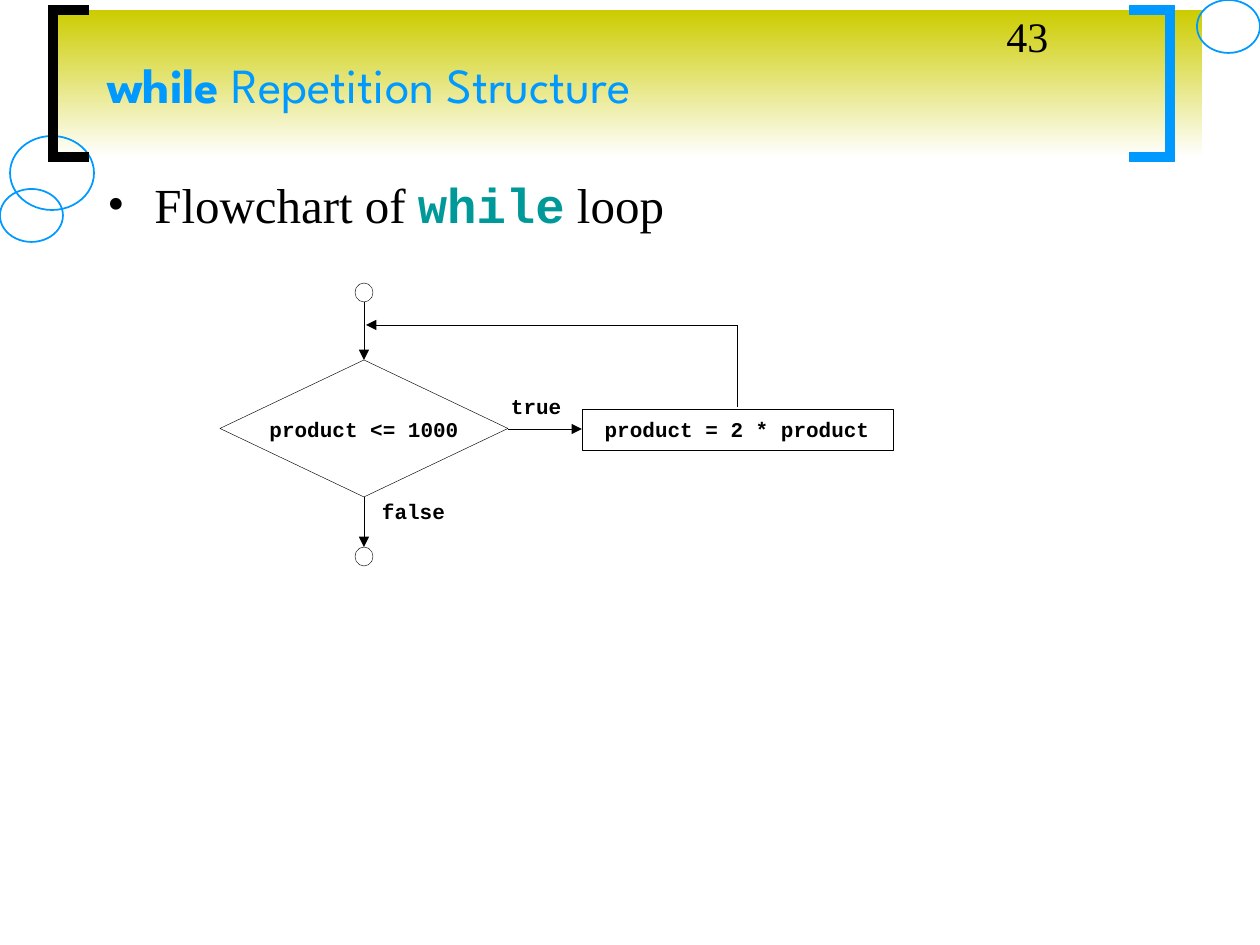
import pptx
import pptx.util
import pptx.dml.color
import pptx.enum.shapes
import pptx.enum.text
import pptx.oxml
import pptx.oxml.ns

PX = 914400 / 126
HEX = {"blue": "0099FF", "lime": "CCCC00", "teal": "009999",
       "black": "000000", "white": "FFFFFF"}
KIND = pptx.enum.shapes.MSO_SHAPE
ALIGN = pptx.enum.text.PP_ALIGN
ANCHOR = pptx.enum.text.MSO_ANCHOR
THIN = 0.25
CODE = ("Courier New", 12, "black", True)


def emu(*nums):
    return [round(n * PX) for n in nums]


def rgb(name):
    return pptx.dml.color.RGBColor.from_string(HEX[name])


def node(tag, **attrs):
    part = pptx.oxml.parse_xml(f"<{tag} {pptx.oxml.ns.nsdecls('a')}/>")
    for key, val in attrs.items():
        part.set(key, val)
    return part


def ink(shape, color, width):
    shape.line.color.rgb = rgb(color)
    shape.line.width = pptx.util.Pt(width)


def add_form(slide, kind, box, color, width, fill=None):
    shape = slide.shapes.add_shape(kind, *emu(*box))
    shape.shadow.inherit = False
    ink(shape, color, width)
    if fill:
        shape.fill.solid()
        shape.fill.fore_color.rgb = rgb(fill)
    else:
        shape.fill.background()


def add_line(slide, start, end, arrow=True):
    line = slide.shapes.add_connector(
        pptx.enum.shapes.MSO_CONNECTOR.STRAIGHT, *emu(*start, *end))
    ink(line, "black", THIN)
    if arrow:
        line.line._get_or_add_ln().append(node("a:tailEnd", type="triangle"))
    line._element.spPr.append(node("a:effectLst"))


def add_text(slide, box, parts, inset=(0, 0), anchor=ANCHOR.TOP, align=ALIGN.LEFT):
    """Each part is (text, (font, size, color, bold)); returns the paragraph."""
    frame = slide.shapes.add_textbox(*emu(*box)).text_frame
    frame.word_wrap = True
    frame.vertical_anchor = anchor
    frame.margin_left = frame.margin_right = pptx.util.Inches(inset[0])
    frame.margin_top = frame.margin_bottom = pptx.util.Inches(inset[1])
    para = frame.paragraphs[0]
    para.alignment = align
    for text, (face, size, color, bold) in parts:
        run = para.add_run()
        run.text = text
        run.font.name = face
        run.font.size = pptx.util.Pt(size)
        run.font.bold = bold
        run.font.color.rgb = rgb(color)
    return para


def add_brace(slide, x, edge, top, low, color):
    """Square bracket with its upright at edge and its open ends at x."""
    pen = slide.shapes.build_freeform(x, top, scale=PX)
    pen.add_line_segments([(edge, top), (edge, low), (x, low)], close=False)
    shape = pen.convert_to_shape()
    shape.shadow.inherit = False
    shape.fill.background()
    ink(shape, color, 6)
    line = shape.line._get_or_add_ln()
    line.set("cap", "sq")
    line.append(node("a:miter", lim="800000"))


def add_head(slide, x, y, w, h):
    band = slide.shapes.add_shape(KIND.RECTANGLE, *emu(x, y, w, h))
    band.shadow.inherit = False
    band.line.fill.background()
    band.fill.gradient()
    band.fill.gradient_angle = 90
    for stop, color in zip(band.fill.gradient_stops, ("white", "lime")):
        stop.color.rgb = rgb(color)

    add_form(slide, KIND.OVAL, (x - 43, y + 126, 84, 74), "blue", 1)
    add_brace(slide, x + 31, x, y, y + h, "black")
    add_brace(slide, x + w - 68, x + w - 32, y, y + h, "blue")
    for dx, dy in ((-53, 179), (w - 5, -10)):
        add_form(slide, KIND.OVAL, (x + dx, y + dy, 63, 53), "blue", 1)

    face = "League Spartan"
    add_text(slide, (x + 42, y, 1071, h),
             [("while", (face, 28, "blue", True)),
              (" Repetition Structure", (face, 28, "blue", False))],
             (0.1, 0.05), ANCHOR.MIDDLE)


def add_body(slide, *box):
    plain = ("Times New Roman", 28, "black", False)
    para = add_text(slide, box,
                    [("Flowchart of ", plain),
                     ("while", ("Courier New", 28, "teal", True)),
                     (" loop", plain)], (0.1, 0.05))
    para.space_before = pptx.util.Pt(7)
    props = para._p.get_or_add_pPr()
    props.set("marL", str(emu(47)[0]))
    props.set("indent", str(emu(-47)[0]))
    tint = node("a:buClr")
    tint.append(node("a:srgbClr", val=HEX["black"]))
    props.extend([tint, node("a:buFont", typeface="Times New Roman"),
                  node("a:buChar", char="•")])


def add_flow(slide, x, y, w, h):
    dot, wide, tall, top = 18, 288, 137, 77
    mid = x + wide // 2
    low = y + top + tall
    axis = y + top + tall // 2 + 1
    step = (x + w - 311, axis - 20, 311, 41)
    back = x + 517

    add_form(slide, KIND.DIAMOND, (x, y + top, wide, tall), "black", THIN, "white")
    add_form(slide, KIND.RECTANGLE, step, "black", THIN)
    for dy in (0, h - dot - 1):
        add_form(slide, KIND.OVAL, (mid - dot // 2, y + dy, dot, dot + 1),
                 "black", THIN)

    add_line(slide, (mid, y + dot + 1), (mid, y + top))
    add_line(slide, (mid, low), (mid, y + h - dot - 1))
    add_line(slide, (x + wide, axis), (step[0], axis))
    add_line(slide, (back, y + 42), (back, step[1] - 2), arrow=False)
    add_line(slide, (back, y + 42), (mid + 2, y + 42))

    for text, box, align in (
            ("product <= 1000", (x + 35, axis - 12, 218, 30), ALIGN.CENTER),
            ("product = 2 * product", (step[0] + 5, axis - 12, 300, 31), ALIGN.CENTER),
            ("true", (x + wide + 3, axis - 35, 63, 38), ALIGN.LEFT),
            ("false", (mid + 18, low + 2, 78, 38), ALIGN.LEFT)):
        add_text(slide, box, [(text, CODE)], align=align)


def main():
    deck = pptx.Presentation()
    deck.slide_width, deck.slide_height = emu(1260, 945)
    slide = deck.slides.add_slide(deck.slide_layouts[6])
    add_head(slide, 53, 10, 1149, 147)
    add_body(slide, 95, 168, 1071, 725)
    add_flow(slide, 220, 283, 673, 283)
    add_text(slide, (994, 4, 262, 63),
             [("43", ("Times New Roman", 24, "black", False))], (0.1, 0.05))
    deck.save("out.pptx")


if __name__ == "__main__":
    main()
